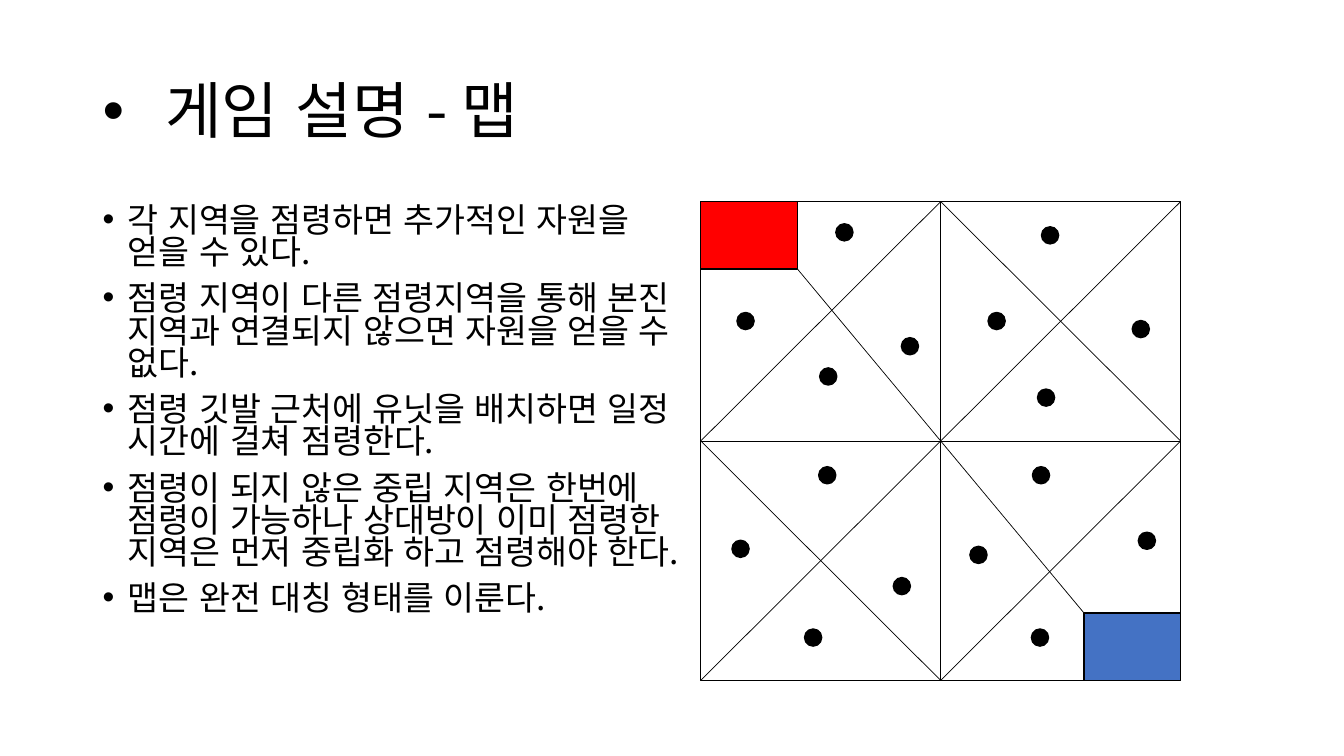
from dataclasses import dataclass

from lxml.etree import SubElement
from pptx import Presentation
from pptx.dml.color import RGBColor
from pptx.enum.lang import MSO_LANGUAGE_ID
from pptx.enum.shapes import MSO_CONNECTOR, MSO_SHAPE
from pptx.enum.text import MSO_ANCHOR
from pptx.oxml.ns import qn
from pptx.shapes.shapetree import GroupShapes
from pptx.slide import Slide
from pptx.util import Inches, Pt


@dataclass(frozen=True)
class Theme:
    font: str = "Noto Sans CJK KR"
    black: RGBColor = RGBColor(0x00, 0x00, 0x00)
    white: RGBColor = RGBColor(0xFF, 0xFF, 0xFF)
    red: RGBColor = RGBColor(0xFF, 0x00, 0x00)
    blue: RGBColor = RGBColor(0x44, 0x72, 0xC4)
    title_size: int = 44
    body_size: int = 24
    outline: float = 1
    border: float = 0.5


@dataclass(frozen=True)
class Box:
    left: float
    top: float
    width: float
    height: float


@dataclass(frozen=True)
class BulletStyle:
    size: int
    indent: float
    line_spacing: float
    space_before: int
    anchor: MSO_ANCHOR


@dataclass(frozen=True)
class Point:
    x: float
    y: float


THEME = Theme()


def add_bullets(slide: Slide, box: Box, style: BulletStyle, lines: list[str]) -> None:
    shape = slide.shapes.add_textbox(
        Inches(box.left), Inches(box.top), Inches(box.width), Inches(box.height))
    frame = shape.text_frame
    frame.word_wrap = True
    frame.vertical_anchor = style.anchor
    for index, line in enumerate(lines):
        paragraph = frame.add_paragraph() if index else frame.paragraphs[0]
        paragraph.line_spacing = style.line_spacing
        paragraph.space_before = Pt(style.space_before)
        properties = paragraph._p.get_or_add_pPr()
        properties.set("marL", str(Inches(style.indent)))
        properties.set("indent", str(-Inches(style.indent)))
        SubElement(properties, qn("a:buFont"), typeface="Arial")
        SubElement(properties, qn("a:buChar"), char="•")
        run = paragraph.add_run()
        run.text = line
        run.font.size = Pt(style.size)
        run.font.color.rgb = THEME.black
        run.font.name = THEME.font
        run.font.language_id = MSO_LANGUAGE_ID.KOREAN
        SubElement(run._r.get_or_add_rPr(), qn("a:ea"), typeface=THEME.font)


def add_area(shapes: GroupShapes, kind: MSO_SHAPE, box: Box, color: RGBColor) -> None:
    shape = shapes.add_shape(
        kind, Inches(box.left), Inches(box.top), Inches(box.width), Inches(box.height))
    shape.shadow.inherit = False
    shape.fill.solid()
    shape.fill.fore_color.rgb = color
    shape.line.color.rgb = THEME.black
    shape.line.width = Pt(THEME.outline)


def add_border(shapes: GroupShapes, start: Point, end: Point) -> None:
    connector = shapes.add_connector(
        MSO_CONNECTOR.STRAIGHT,
        Inches(start.x), Inches(start.y), Inches(end.x), Inches(end.y))
    connector.line.color.rgb = THEME.black
    connector.line.width = Pt(THEME.border)
    SubElement(connector._element.spPr, qn("a:effectLst"))


presentation = Presentation()
presentation.slide_width = Inches(13.33)
presentation.slide_height = Inches(7.5)
slide = presentation.slides.add_slide(presentation.slide_layouts[6])

# Title and rules
add_bullets(slide, Box(0.92, 0.4, 11.5, 1.45),
            BulletStyle(THEME.title_size, 0.62, 0.9, 0, MSO_ANCHOR.MIDDLE),
            ["게임 설명 - 맵"])
add_bullets(slide, Box(0.92, 2, 5.84, 4.76),
            BulletStyle(THEME.body_size, 0.25, 0.8, 10, MSO_ANCHOR.TOP), [
    "각 지역을 점령하면 추가적인 자원을 얻을 수 있다.",
    "점령 지역이 다른 점령지역을 통해 본진 지역과 연결되지 않으면 자원을 얻을 수 없다.",
    "점령 깃발 근처에 유닛을 배치하면 일정 시간에 걸쳐 점령한다.",
    "점령이 되지 않은 중립 지역은 한번에 점령이 가능하나 상대방이 이미 점령한 "
    "지역은 먼저 중립화 하고 점령해야 한다.",
    "맵은 완전 대칭 형태를 이룬다.",
])

# Map and the two home bases in opposite corners
game_map = Box(6.95, 2, 4.76, 4.75)
base_width, base_height = 0.96, 0.67
left, top = game_map.left, game_map.top
right, bottom = left + game_map.width, top + game_map.height
middle_x, middle_y = (left + right) / 2, (top + bottom) / 2
red_base = Box(left, top, base_width, base_height)
blue_base = Box(right - base_width, bottom - base_height, base_width, base_height)

map_shapes = slide.shapes.add_group_shape().shapes
for area, color in ((game_map, THEME.white), (red_base, THEME.red), (blue_base, THEME.blue)):
    add_area(map_shapes, MSO_SHAPE.RECTANGLE, area, color)

# Region borders: long diagonal, diamond, cross, and links from bases to centre
north, south = Point(middle_x, top), Point(middle_x, bottom)
west, east = Point(left, middle_y), Point(right, middle_y)
center = Point(middle_x, middle_y)
for start, end in (
    (Point(right, top), Point(left, bottom)),
    (south, west), (north, east), (east, south), (north, west),
    (west, east), (north, south),
    (Point(left + base_width, top + base_height), center),
    (center, Point(blue_base.left, blue_base.top)),
):
    add_border(map_shapes, start, end)

# Capture flags, one in each region
FLAG_SIZE = 0.17
FLAGS = [
    Point(8.29, 2.22), Point(7.31, 3.1), Point(8.94, 3.35), Point(8.13, 3.65),
    Point(10.33, 2.25), Point(9.8, 3.1), Point(11.23, 3.18), Point(10.29, 3.86),
    Point(8.12, 4.63), Point(7.26, 5.36), Point(8.86, 5.73), Point(7.98, 6.24),
    Point(10.24, 4.63), Point(9.62, 5.42), Point(11.29, 5.28), Point(10.23, 6.24),
]
for flag in FLAGS:
    add_area(map_shapes, MSO_SHAPE.OVAL,
             Box(flag.x, flag.y, FLAG_SIZE, FLAG_SIZE), THEME.black)

presentation.save("out.pptx")
